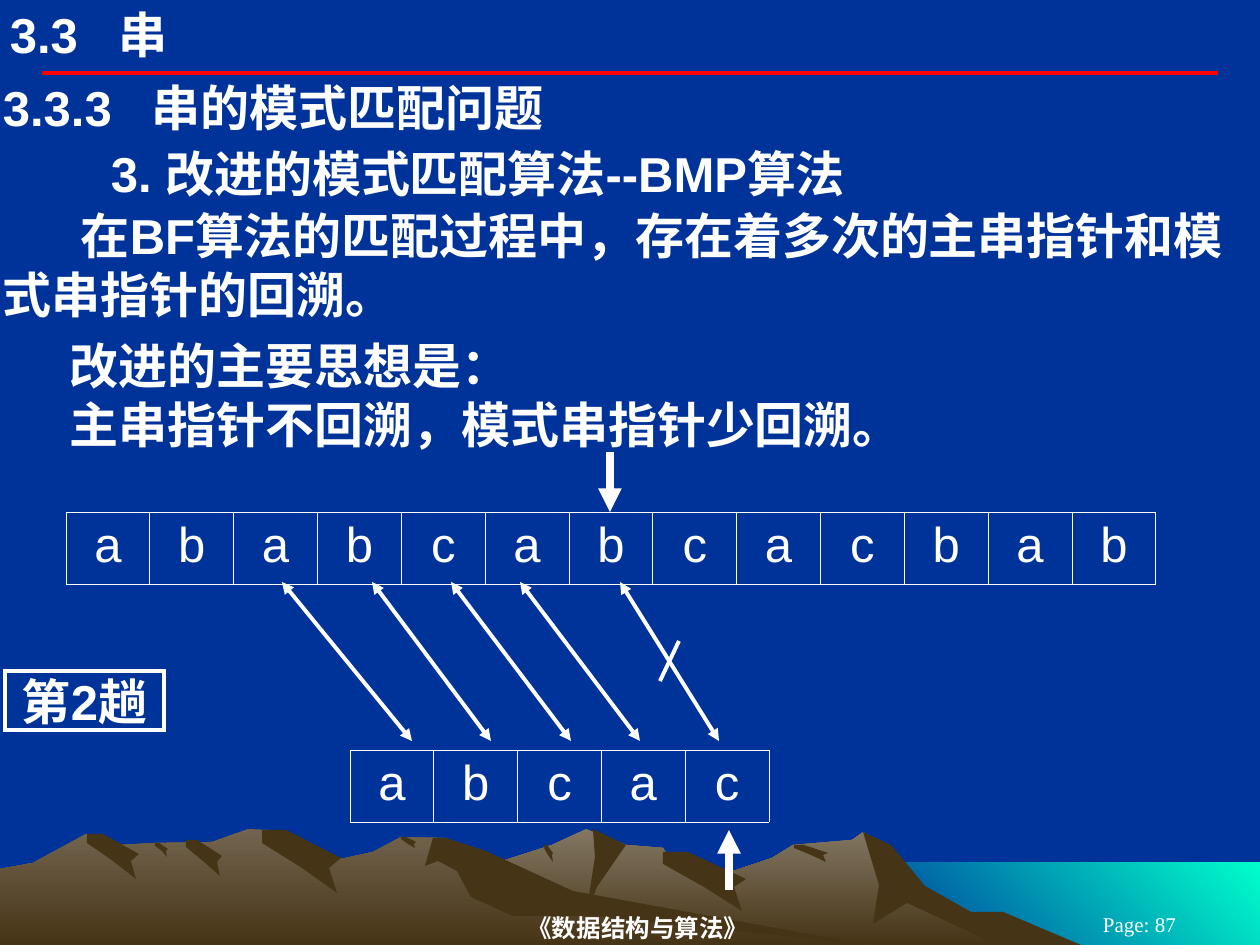
from dataclasses import dataclass
from typing import Any

from lxml.etree import SubElement
from pptx import Presentation
from pptx.dml.color import RGBColor
from pptx.enum.shapes import MSO_CONNECTOR, MSO_SHAPE
from pptx.enum.text import MSO_ANCHOR, PP_ALIGN
from pptx.oxml.ns import qn
from pptx.util import Emu, Pt

SCALE = 914400 / 126
WIDTH, GROUND = 1260, 945
COLORS = {
    "night": "003399",
    "white": "FFFFFF",
    "red": "FF0000",
    "sea": "00FFCC",
    "back_rock": "837763",
    "front_rock": "72644E",
    "shadow": "463416",
}
DOWN, DOWN_LEFT = 270, 225

BACK_SKYLINE = [
    (325, GROUND), (412, 893), (496, 863), (552, 845), (586, 829), (597, 833),
    (626, 845), (663, 848), (675, 869), (713, 878), (772, 858), (793, 845), (852, 840),
    (863, 832), (885, 845), (911, 879), (963, 911), (1034, GROUND),
]
FRONT_SKYLINE = [
    (0, GROUND), (0, 869), (33, 863), (86, 834), (118, 845), (155, 843), (212, 842),
    (248, 829), (271, 830), (341, 859), (373, 852), (401, 837), (446, 838), (544, 897),
    (869, GROUND),
]
EAST_SLOPE = [
    (863, 832), (891, 845), (925, 886), (971, 912), (1003, 912), (1081, GROUND),
    (998, GROUND), (907, 903), (873, 924), (879, 885),
]
MIDDLE_SLOPE = [(593, 829), (626, 845), (597, 887), (586, 916), (595, 857)]
FRONT_SLOPE = [
    (433, 838), (446, 838), (486, 851), (573, 891), (869, GROUND), (595, 916),
    (513, 916), (471, 897), (457, 871), (438, 861), (425, 866),
]
GULLY = [(0, 0), (0.3, 0), (1, 0.45), (0.85, 0.6), (0.95, 1), (0.5, 0.6), (0, 0.2)]
BACK_GULLIES = [(544, 845, 9, 17), (663, 852, 83, 59), (794, 845, 34, 17)]
FRONT_GULLIES = [
    (87, 834, 52, 45), (155, 843, 13, 14), (186, 840, 36, 36), (262, 830, 79, 63),
    (401, 837, 15, 11),
]
MOUNTAINS = [
    (BACK_SKYLINE, "back_rock", [EAST_SLOPE, MIDDLE_SLOPE], BACK_GULLIES),
    (FRONT_SKYLINE, "front_rock", [FRONT_SLOPE], FRONT_GULLIES),
]

MAIN_STRING, PATTERN = "ababcabcacbab", "abcac"
MATCH_TOP, MATCH_BOTTOM = 582, 741
MATCHES = [(282, 412), (372, 491), (451, 571), (520, 640), (620, 719)]


def px(length):
    return Emu(round(length * SCALE))


def rgb(name):
    return RGBColor.from_string(COLORS[name])


def gully_points(left, top, width, height):
    return [(round(left + x * width), round(top + y * height)) for x, y in GULLY]


@dataclass
class Painter:
    """Draws styled elements on the current slide."""

    page: Any
    face: str = "Arial"
    size: int = 28
    ink: str = "white"

    def style(self, para, bold=True, face=None, size=None, align=PP_ALIGN.LEFT):
        para.alignment = align
        font = para.font
        font.name, font.size, font.bold = face or self.face, Pt(size or self.size), bold
        font.color.rgb = rgb(self.ink)

    def text(self, area, lines, indent=0, hanging=0, anchor=MSO_ANCHOR.TOP, **style):
        frame = self.page.shapes.add_textbox(*map(px, area)).text_frame
        frame.word_wrap, frame.vertical_anchor = True, anchor
        frame.margin_left = frame.margin_right = px(3)
        frame.margin_top = frame.margin_bottom = px(2)
        frame.text = "\n".join(lines)
        for para in frame.paragraphs:
            properties = para._p.get_or_add_pPr()
            properties.set("marL", str(px(hanging)))
            properties.set("indent", str(px(indent - hanging)))
            self.style(para, **style)

    def outline(self, points, color, fade=None, angle=DOWN):
        builder = self.page.shapes.build_freeform(*points[0], scale=SCALE)
        builder.add_line_segments(points[1:], close=True)
        shape = builder.convert_to_shape()
        shape.shadow.inherit = False
        shape.line.fill.background()
        if fade:
            shape.fill.gradient()
            shape.fill.gradient_angle = angle
            for stop, name in zip(shape.fill.gradient_stops, (color, fade)):
                stop.color.rgb = rgb(name)
        else:
            shape.fill.solid()
            shape.fill.fore_color.rgb = rgb(color)

    def mountain(self, skyline, rock, slopes, gullies):
        self.outline(skyline, rock, "shadow")
        for shade in slopes + [gully_points(*area) for area in gullies]:
            self.outline(shade, "shadow")

    def line(self, start, end, color="white", width=2.25, head=False, tail=False):
        line = self.page.shapes.add_connector(MSO_CONNECTOR.STRAIGHT, *map(px, start + end))
        line.line.color.rgb, line.line.width = rgb(color), Pt(width)
        SubElement(line._element.spPr, qn("a:effectLst"))
        for tag, wanted in (("a:headEnd", head), ("a:tailEnd", tail)):
            if wanted:
                SubElement(line.line._get_or_add_ln(), qn(tag), type="triangle")

    def label(self, area, words):
        box = self.page.shapes.add_shape(MSO_SHAPE.RECTANGLE, *map(px, area))
        box.shadow.inherit = False
        box.fill.solid()
        box.fill.fore_color.rgb = rgb("night")
        box.line.color.rgb, box.line.width = rgb(self.ink), Pt(2.25)
        SubElement(box.line._get_or_add_ln(), qn("a:miter"), lim="800000")
        frame = box.text_frame
        frame.word_wrap, frame.vertical_anchor = False, MSO_ANCHOR.MIDDLE
        frame.text = words
        self.style(frame.paragraphs[0], align=PP_ALIGN.CENTER)

    def letters(self, area, word):
        table = self.page.shapes.add_table(1, len(word), *map(px, area)).table
        table.first_row = table.horz_banding = False
        for column, letter in enumerate(word):
            table.columns[column].width = px(area[2] / len(word))
            cell = table.cell(0, column)
            cell.text = letter
            self.style(cell.text_frame.paragraphs[0], bold=False, align=PP_ALIGN.CENTER)
            properties = cell._tc.get_or_add_tcPr()
            for side in ("a:lnL", "a:lnR", "a:lnT", "a:lnB"):
                border = SubElement(properties, qn(side), w=str(Pt(0.45)))
                paint = SubElement(border, qn("a:solidFill"))
                SubElement(paint, qn("a:srgbClr"), val=COLORS[self.ink])
            cell.fill.background()


def draw_backdrop(painter):
    sea = [(861, 862), (WIDTH, 862), (WIDTH, GROUND), (861, GROUND)]
    painter.outline(sea, "sea", "night", DOWN_LEFT)
    for mountain in MOUNTAINS:
        painter.mountain(*mountain)
    painter.line((42, 73), (1218, 73), "red")
    footer = {"face": "Times New Roman", "align": PP_ALIGN.CENTER, "anchor": MSO_ANCHOR.MIDDLE}
    painter.text((256, 910, 764, 35), ["《数据结构与算法》"], size=14, **footer)
    painter.text((1040, 914, 199, 21), ["Page: 87"], size=12, bold=False, **footer)


def draw_lesson(painter):
    painter.text((7, 3, 819, 59), ["3.3\t串"], hanging=109)
    painter.text((0, 76, WIDTH, 62), ["3.3.3\t串的模式匹配问题"], hanging=149)
    painter.text((0, 142, WIDTH, 62), ["3. 改进的模式匹配算法--BMP算法"], indent=108)
    painter.text((0, 204, WIDTH, 121),
                 ["在BF算法的匹配过程中，存在着多次的主串指针和模式串指针的回溯。"], indent=78)
    painter.text((0, 334, WIDTH, 121),
                 ["改进的主要思想是：", "主串指针不回溯，模式串指针少回溯。"], indent=67)


def draw_matching(painter):
    painter.letters((66, 512, 1090, 72), MAIN_STRING)
    painter.letters((350, 750, 419, 72), PATTERN)
    for main_x, pattern_x in MATCHES:
        painter.line((main_x, MATCH_TOP), (pattern_x, MATCH_BOTTOM), head=True, tail=True)
    painter.line((679, 641), (660, 681))
    for pointer_x, start, end in ((610, 452, 512), (729, 890, 830)):
        painter.line((pointer_x, start), (pointer_x, end), width=4.5, tail=True)
    painter.label((5, 671, 159, 59), "第2趟")


def main():
    deck = Presentation()
    deck.slide_width, deck.slide_height = px(WIDTH), px(GROUND)
    page = deck.slides.add_slide(deck.slide_layouts[6])
    page.background.fill.solid()
    page.background.fill.fore_color.rgb = rgb("night")
    painter = Painter(page)
    for draw in (draw_backdrop, draw_lesson, draw_matching):
        draw(painter)
    deck.save("out.pptx")


if __name__ == "__main__":
    main()
